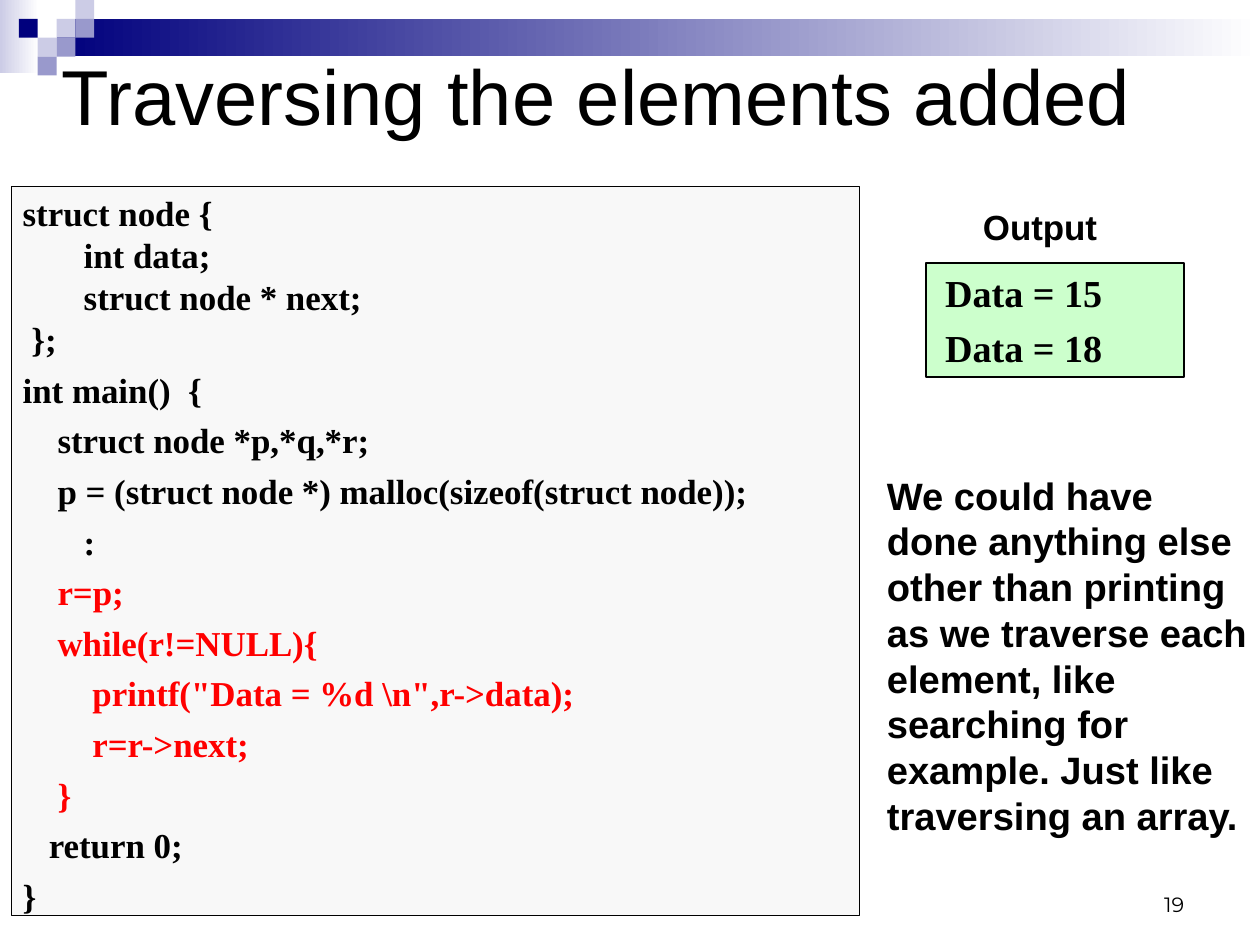
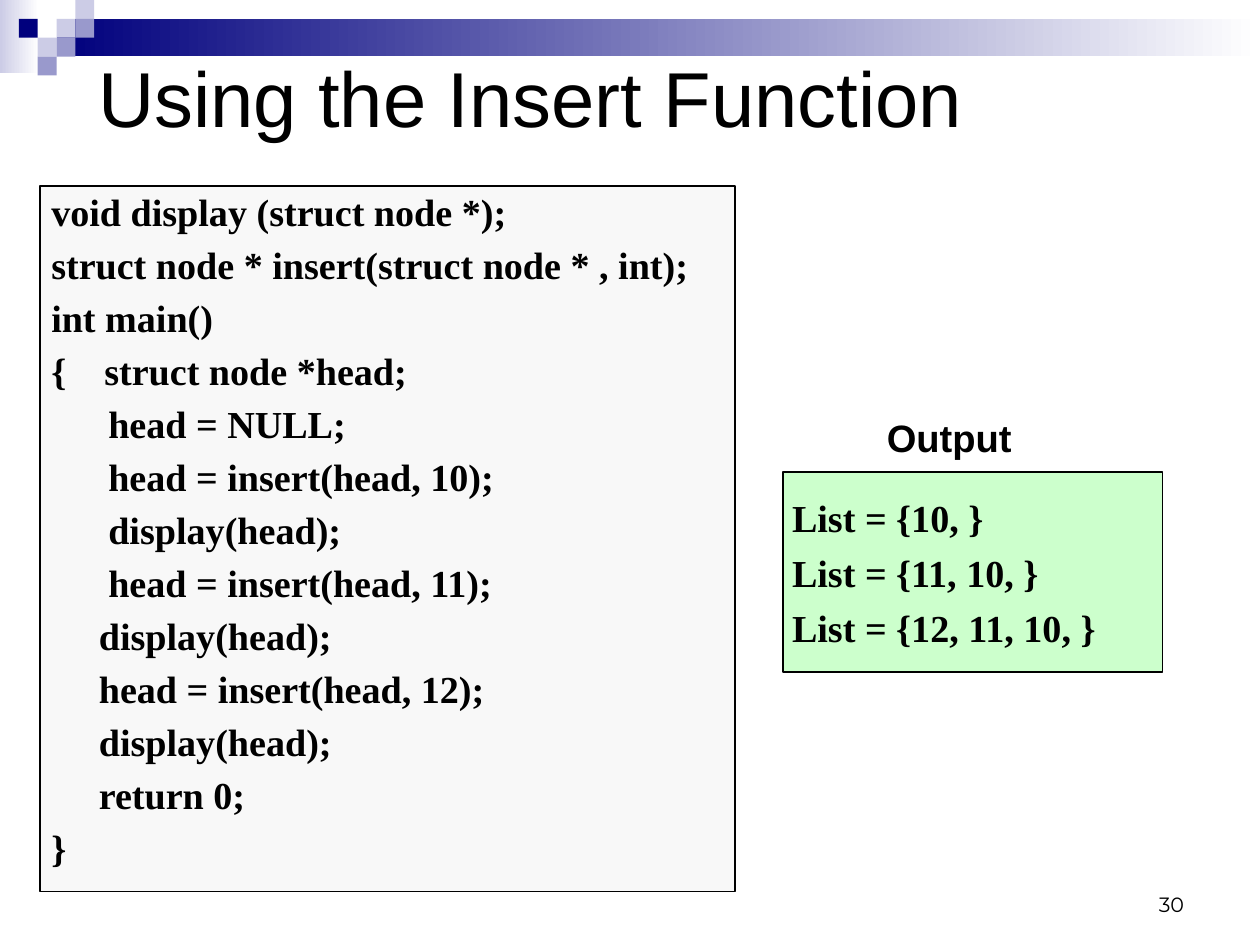
from pptx import Presentation
from pptx.dml.color import RGBColor
from pptx.enum.shapes import MSO_SHAPE
from pptx.enum.text import MSO_ANCHOR, PP_ALIGN
from pptx.util import Inches, Pt

BLACK = RGBColor(0x00, 0x00, 0x00)
WHITE = RGBColor(0xFF, 0xFF, 0xFF)
RED = RGBColor(0xFF, 0x00, 0x00)
NAVY = RGBColor(0x00, 0x00, 0x7D)
LAVENDER = RGBColor(0xCC, 0xCC, 0xE6)
PERIWINKLE = RGBColor(0x99, 0x99, 0xCC)
CODE_GRAY = RGBColor(0xF8, 0xF8, 0xF8)
OUTPUT_GREEN = RGBColor(0xCC, 0xFF, 0xCC)

SANS, SERIF, NUMBER_FONT = "Arial", "Times New Roman", "Montserrat"

# Corner mosaic: column, row and colour of each square
SQUARE = Inches(0.66) // 4
MOSAIC = [
    (3, 1, LAVENDER), (4, 0, LAVENDER), (4, 1, PERIWINKLE),
    (2, 2, LAVENDER), (1, 1, NAVY), (3, 2, PERIWINKLE), (2, 3, PERIWINKLE),
]

STRUCT_CODE = [
    "struct node {",
    "       int data;",
    "       struct node * next;",
    " };",
]
MAIN_CODE = [
    "int main()  {",
    "    struct node *p,*q,*r;",
    "    p = (struct node *) malloc(sizeof(struct node));",
    "       :",
]
TRAVERSAL_CODE = [
    "    r=p;",
    "    while(r!=NULL){",
    '        printf("Data = %d \\n",r->data);',
    "        r=r->next;",
    "    }",
]
END_CODE = ["   return 0;", "}"]
INSERT_CODE = [
    "void display (struct node *);",
    "struct node * insert(struct node * , int);",
    "int main()",
    "{    struct node *head;",
    "      head = NULL;",
    "      head = insert(head, 10);",
    "      display(head);",
    "      head = insert(head, 11);",
    "     display(head);",
    "     head = insert(head, 12);",
    "     display(head);",
    "     return 0;",
    "}",
]
REMARK = ("We could have done anything else other than printing as we traverse "
          "each element, like searching for example. Just like traversing an array.")

# Each code group: lines, colour, space before each line
SLIDES = [
    {
        "title": "Traversing the elements added",
        "title_place": (0.43, 0, 9.92, 1.65),
        "number": "19",
        "code": [(STRUCT_CODE, BLACK, 0), (MAIN_CODE, BLACK, 5.5),
                 (TRAVERSAL_CODE, RED, 5.5), (END_CODE, BLACK, 5.5)],
        "code_place": (0.1, 1.63, 7.42, 6.38),
        "code_size": 22,
        "line_spacing": 1.0,
        "label_place": (8.6, 1.8, 1.25, 0.37),
        "label_size": 22,
        "output": ["Data = 15", "Data = 18"],
        "output_place": (8.1, 2.3, 2.26, 1),
        "output_indent": 0.17,
        "remark": REMARK,
    },
    {
        "title": "Using the Insert Function",
        "title_place": (0.75, 0.38, 9.66, 0.93),
        "number": "30",
        "code": [(INSERT_CODE, BLACK, 6)],
        "code_place": (0.35, 1.63, 6.08, 6.17),
        "code_size": 24,
        "line_spacing": 0.95,
        "label_place": (7.76, 3.63, 1.5, 0.4),
        "label_size": 24,
        "output": ["List = {10, }", "List = {11, 10, }", "List = {12, 11, 10, }"],
        "output_place": (6.85, 4.13, 3.32, 1.75),
        "output_indent": 0.08,
        "remark": None,
    },
]


def add_rectangle(slide, place, colors, outlined=False):
    """Add a rectangle; two colours make a left-to-right gradient."""
    shape = slide.shapes.add_shape(MSO_SHAPE.RECTANGLE, *place)
    shape.shadow.inherit = False
    if len(colors) == 2:
        shape.fill.gradient()
        shape.fill.gradient_angle = 0
        for stop, color in zip(shape.fill.gradient_stops, colors):
            stop.color.rgb = color
    else:
        shape.fill.solid()
        shape.fill.fore_color.rgb = colors[0]
    if outlined:
        shape.line.color.rgb = BLACK
        shape.line.width = Pt(1)
    else:
        shape.line.fill.background()
    return shape


def write_text(shape, groups, size, font_name, bold=True, margins=(0, 0, 0, 0),
               anchor=MSO_ANCHOR.TOP, alignment=PP_ALIGN.LEFT, line_spacing=1.0):
    """Write groups of (lines, colour, space before), one paragraph a line."""
    frame = shape.text_frame
    frame.word_wrap = True
    frame.vertical_anchor = anchor
    (frame.margin_left, frame.margin_top,
     frame.margin_right, frame.margin_bottom) = map(Inches, margins)
    rows = [(line, color, space) for lines, color, space in groups for line in lines]
    for index, (line, color, space) in enumerate(rows):
        paragraph = frame.add_paragraph() if index else frame.paragraphs[0]
        paragraph.add_run().text = line
        paragraph.alignment = alignment
        paragraph.line_spacing = line_spacing
        paragraph.space_before = Pt(space if index else 0)
        paragraph.font.name = font_name
        paragraph.font.size = Pt(size)
        paragraph.font.bold = bold
        paragraph.font.color.rgb = color


presentation = Presentation()
presentation.slide_width = Pt(793.75)
presentation.slide_height = Pt(595.25)

for content in SLIDES:
    slide = presentation.slides.add_slide(presentation.slide_layouts[6])

    # Header band and corner mosaic
    add_rectangle(slide, map(Inches, (0, 0, 0.34, 0.64)), [LAVENDER, WHITE])
    add_rectangle(slide, (Inches(0.5), SQUARE, Inches(10.52), 2 * SQUARE), [NAVY, WHITE])
    for column, row, color in MOSAIC:
        add_rectangle(slide, (column * SQUARE, row * SQUARE, SQUARE, SQUARE), [color])

    # Slide number and title
    frame_margins = (0.11, 0.06, 0.11, 0.06)
    number = slide.shapes.add_textbox(*map(Inches, (7.9, 7.53, 2.57, 0.55)))
    write_text(number, [([content["number"]], BLACK, 0)], 13, NUMBER_FONT, bold=False,
               margins=frame_margins, anchor=MSO_ANCHOR.BOTTOM, alignment=PP_ALIGN.RIGHT)
    title = slide.shapes.add_textbox(*map(Inches, content["title_place"]))
    write_text(title, [([content["title"]], BLACK, 0)], 49, SANS, bold=False,
               margins=frame_margins, anchor=MSO_ANCHOR.MIDDLE)

    # Code panel
    code = add_rectangle(slide, map(Inches, content["code_place"]), [CODE_GRAY], outlined=True)
    write_text(code, content["code"], content["code_size"], SERIF,
               margins=(0.1, 0.05, 0.1, 0.05), line_spacing=content["line_spacing"])

    # Output label and panel
    label = slide.shapes.add_textbox(*map(Inches, content["label_place"]))
    write_text(label, [(["Output"], BLACK, 0)], content["label_size"], SANS)
    output = add_rectangle(slide, map(Inches, content["output_place"]), [OUTPUT_GREEN],
                           outlined=True)
    write_text(output, [(content["output"], BLACK, 6)], 24, SERIF,
               margins=(content["output_indent"], 0, 0, 0), anchor=MSO_ANCHOR.MIDDLE)

    # Remark beside the code
    if content["remark"]:
        remark = slide.shapes.add_textbox(*map(Inches, (7.76, 4.13, 3.18, 3.2)))
        write_text(remark, [([content["remark"]], BLACK, 0)], 24, SANS)

presentation.save("out.pptx")
